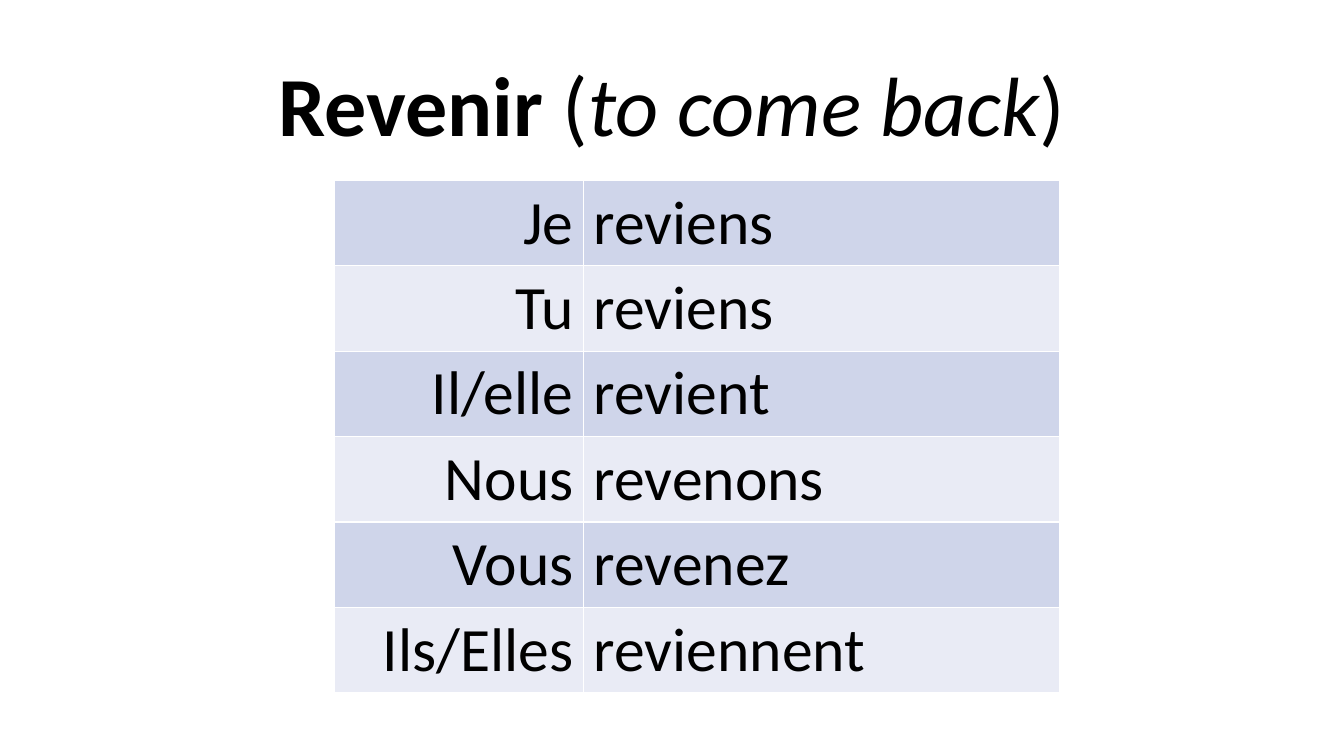
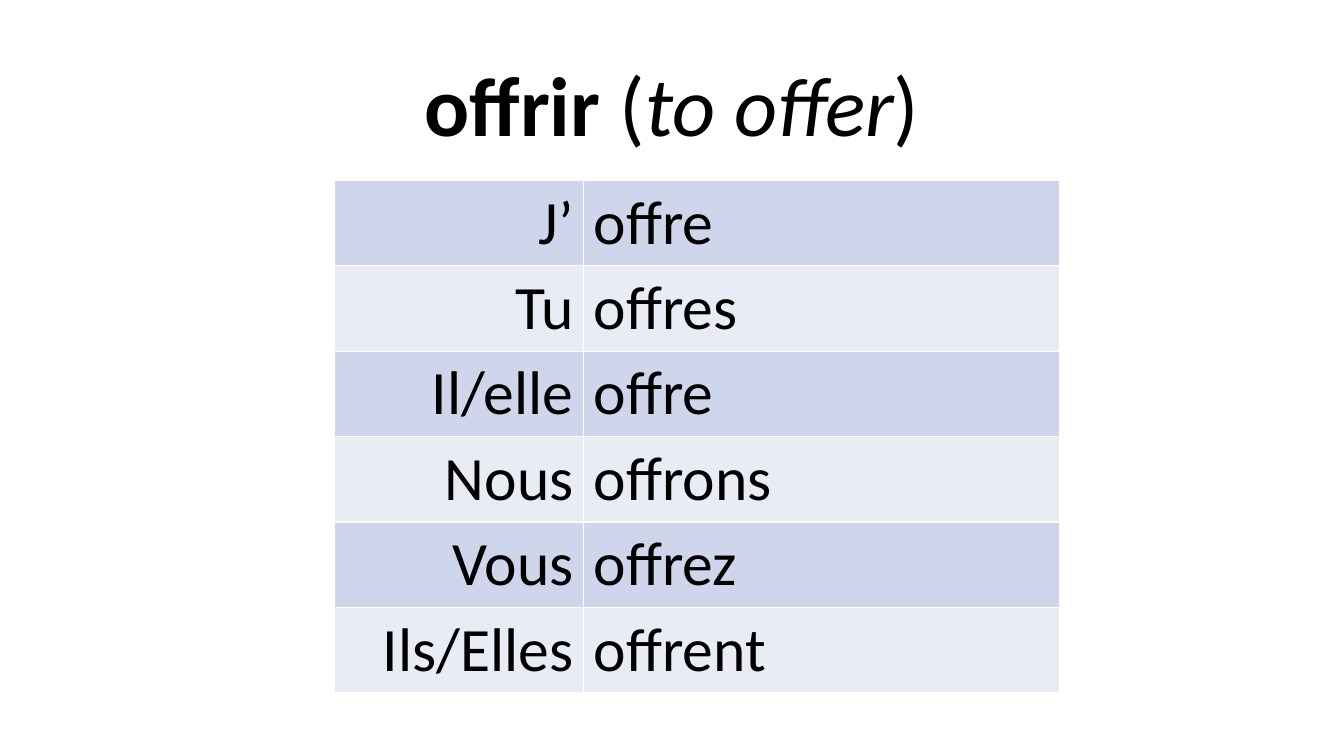
import pptx
import pptx.dml.color
import pptx.enum.text
import pptx.oxml
import pptx.oxml.ns
import pptx.util

Inches, Pt = pptx.util.Inches, pptx.util.Pt
ALIGN = pptx.enum.text.PP_ALIGN

WIDTH, HEIGHT = Inches(13.33), Inches(7.5)
FONT = "Calibri"
COLORS = {"text": "000000", "odd_row": "CFD5EA", "even_row": "E9EBF5", "border": "FFFFFF"}
TITLE_SIZE, TABLE_SIZE = 60, 44
TABLE_LEFT, TABLE_TOP = Inches(3.32), Inches(1.79)
COLUMNS = [Inches(2.47), Inches(4.72)]
ROW_HEIGHT = Inches(0.83)
TITLE_ONLY = 5

PRONOUNS = ["Tu", "Il/elle", "Nous", "Vous", "Ils/Elles"]
VERBS = [
    ("Revenir", "to come back", "Je",
     ["reviens", "reviens", "revient", "revenons", "revenez", "reviennent"]),
    ("offrir", "to offer", "J’",
     ["offre", "offres", "offre", "offrons", "offrez", "offrent"]),
]


def rgb(name):
    return pptx.dml.color.RGBColor.from_string(COLORS[name])


def add_text(paragraph, text, size, bold=False, italic=False, color="text"):
    run = paragraph.add_run()
    run.text = text
    font = run.font
    font.name, font.size, font.bold, font.italic = FONT, Pt(size), bold, italic
    font.color.rgb = rgb(color)


def add_title(slide, verb, meaning):
    title = slide.shapes.title
    title.left, title.top = int(WIDTH / 8), Inches(0.44)
    title.width, title.height = int(WIDTH * 3 / 4), Inches(1.14)
    frame = title.text_frame
    frame.auto_size = pptx.enum.text.MSO_AUTO_SIZE.NONE
    frame.vertical_anchor = pptx.enum.text.MSO_ANCHOR.BOTTOM
    heading = frame.paragraphs[0]
    heading.alignment = ALIGN.CENTER
    heading.line_spacing = 0.9
    add_text(heading, verb, TITLE_SIZE, bold=True)
    add_text(heading, " (", TITLE_SIZE)
    add_text(heading, meaning, TITLE_SIZE, italic=True)
    add_text(heading, ")", TITLE_SIZE)


def add_borders(cell):
    """Draw all four cell edges; call before setting the fill, as the schema orders them."""
    properties = cell._tc.get_or_add_tcPr()
    for edge in ("lnL", "lnR", "lnT", "lnB"):
        properties.append(pptx.oxml.parse_xml(
            f'<a:{edge} {pptx.oxml.ns.nsdecls("a")} w="{Pt(1)}"><a:solidFill>'
            f'<a:srgbClr val="{COLORS["border"]}"/></a:solidFill></a:{edge}>'))


def fill_cell(cell, text, alignment, fill):
    add_borders(cell)
    cell.fill.solid()
    cell.fill.fore_color.rgb = rgb(fill)
    paragraph = cell.text_frame.paragraphs[0]
    paragraph.alignment = alignment
    add_text(paragraph, text, TABLE_SIZE)


def add_conjugation(slide, pronouns, forms):
    table = slide.shapes.add_table(
        len(forms), len(COLUMNS), TABLE_LEFT, TABLE_TOP,
        sum(COLUMNS), ROW_HEIGHT * len(forms)).table
    table.first_row = table.horz_banding = False
    for column, width in zip(table.columns, COLUMNS):
        column.width = width
    for row, (pronoun, form) in enumerate(zip(pronouns, forms)):
        band = "even_row" if row % 2 else "odd_row"
        fill_cell(table.cell(row, 0), pronoun, ALIGN.RIGHT, band)
        fill_cell(table.cell(row, 1), form, ALIGN.LEFT, band)


def main():
    deck = pptx.Presentation()
    deck.slide_width, deck.slide_height = WIDTH, HEIGHT
    for verb, meaning, first_pronoun, forms in VERBS:
        slide = deck.slides.add_slide(deck.slide_layouts[TITLE_ONLY])
        add_title(slide, verb, meaning)
        add_conjugation(slide, [first_pronoun, *PRONOUNS], forms)
    deck.save("out.pptx")


if __name__ == "__main__":
    main()
